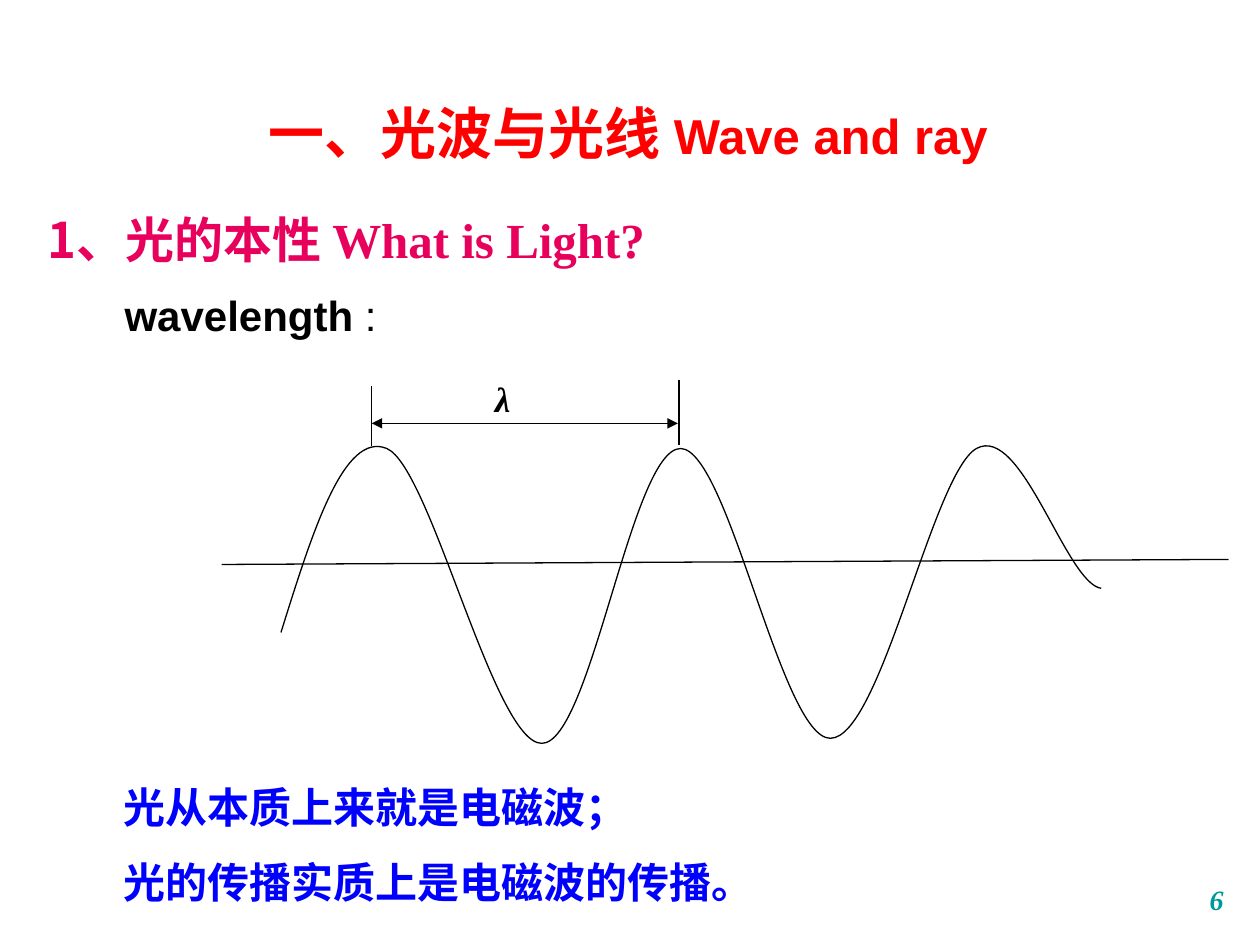
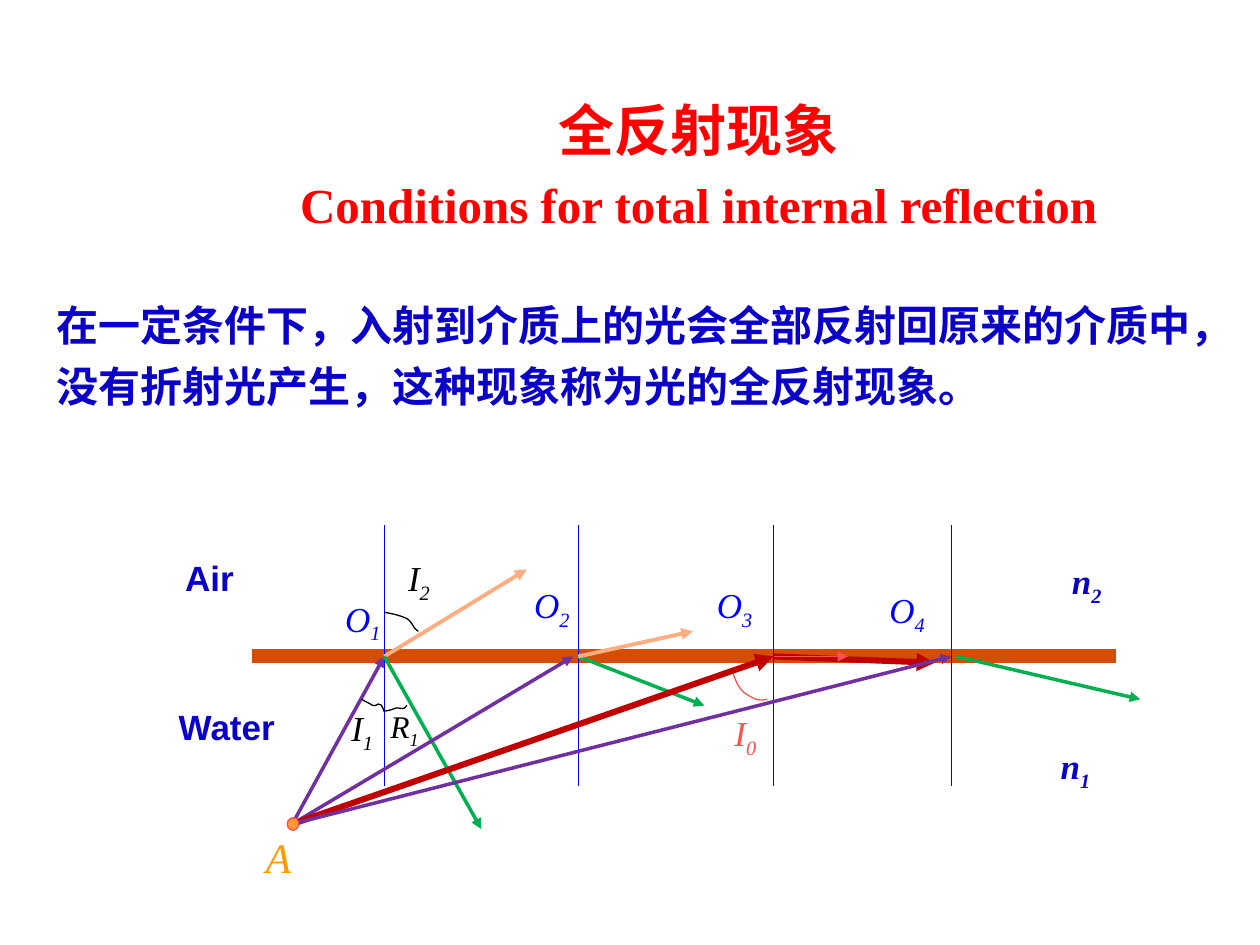
from lxml import etree
from pptx import Presentation
from pptx.dml.color import RGBColor
from pptx.enum.shapes import MSO_CONNECTOR, MSO_SHAPE
from pptx.enum.text import MSO_ANCHOR, MSO_AUTO_SIZE, PP_ALIGN
from pptx.oxml.ns import qn
from pptx.util import Inches, Pt

STRAIGHT = MSO_CONNECTOR.STRAIGHT
OVAL = MSO_SHAPE.OVAL
TOP, MIDDLE, BOTTOM = MSO_ANCHOR.TOP, MSO_ANCHOR.MIDDLE, MSO_ANCHOR.BOTTOM
LEFT, CENTER, RIGHT = PP_ALIGN.LEFT, PP_ALIGN.CENTER, PP_ALIGN.RIGHT
NO_FIT = MSO_AUTO_SIZE.NONE

COLORS = {
    "title": "FF0000", "heading": "E7005C", "number": "009999",
    "ink": "000000", "blue": "0000FF", "navy": "0A00C8",
    "surface": "D64C00", "incident": "7030A0", "refracted": "FFAE82",
    "reflected": "00B050", "critical": "C00000", "coral": "FF5050",
    "source": "FF9900", "source_fill": "FF9933",
}
HAN, SANS, SERIF = "Noto Sans CJK SC", "Arial", "Times New Roman"
TITLE_ONLY = 5


def color(name):
    """Return the palette colour with this name."""
    return RGBColor.from_string(COLORS[name])


def run(text, font, size, tone, bold=False, italic=False, subscript=False):
    """Describe one run of text."""
    return text, font, size, tone, bold, italic, subscript


def add_run(para, text, font, size, tone, bold, italic, subscript):
    """Add one formatted run to a paragraph."""
    span = para.add_run()
    span.text = text
    span.font.size = Pt(size)
    span.font.bold = bold
    span.font.italic = italic
    span.font.color.rgb = color(tone)
    span.font.name = font
    properties = span._r.get_or_add_rPr()
    etree.SubElement(properties, qn("a:ea")).set("typeface", font)
    if subscript:
        properties.set("baseline", "-25000")


def fill_text(box, paragraphs, align=LEFT, anchor=TOP, spacing=1.0, wrap=True):
    """Write paragraphs, each a list of runs, into a shape."""
    frame = box.text_frame
    frame.word_wrap = wrap
    frame.auto_size = NO_FIT
    frame.vertical_anchor = anchor
    for index, runs in enumerate(paragraphs):
        para = frame.add_paragraph() if index else frame.paragraphs[0]
        para.alignment = align
        para.line_spacing = spacing
        for item in runs:
            add_run(para, *item)


def add_text(page, area, paragraphs, **options):
    """Add a text box."""
    box = page.shapes.add_textbox(*map(Inches, area))
    fill_text(box, paragraphs, **options)


def set_title(page, area, paragraphs, **options):
    """Place the title placeholder and write its centred text."""
    title = page.shapes.title
    title.left, title.top, title.width, title.height = map(Inches, area)
    fill_text(title, paragraphs, align=CENTER, **options)


def add_line(page, start, end, tone="ink", width=0.75, arrow=False):
    """Add a straight line or arrow."""
    line = page.shapes.add_connector(STRAIGHT, *map(Inches, start + end))
    line.line.color.rgb = color(tone)
    line.line.width = Pt(width)
    if arrow:
        outline = line.line._get_or_add_ln()
        etree.SubElement(outline, qn("a:tailEnd")).set("type", "triangle")
    etree.SubElement(line._element.spPr, qn("a:effectLst"))


def add_curve(page, points, tone="ink", rotation=0):
    """Draw an open chain of cubic curves through every third point."""
    places = [(Inches(x), Inches(y)) for x, y in points]
    builder = page.shapes.build_freeform(*places[0])
    builder.add_line_segments(places[1:], close=False)
    curve = builder.convert_to_shape()
    segments = list(curve._element.iter(qn("a:lnTo")))
    outline = segments[0].getparent()
    for first in range(0, len(segments), 3):
        cubic = etree.SubElement(outline, qn("a:cubicBezTo"))
        for segment in segments[first:first + 3]:
            cubic.append(segment[0])
            outline.remove(segment)
    curve.shadow.inherit = False
    curve.fill.background()
    curve.line.color.rgb = color(tone)
    curve.line.width = Pt(0.75)
    curve.rotation = rotation


def add_symbol(page, left, top, width, letter, index, tone, size=20, bold=False):
    """Add an italic symbol with a subscript."""
    style = (SERIF, size, tone, bold, True)
    add_text(page, (left, top, width, 0.43),
             [[run(letter, *style), run(index, *style, subscript=True)]])


def build_wave_page(page):
    """Show light as a wave with its wavelength."""
    set_title(page, (0.2, 0.6, 9.57, 0.77),
              [[run("一、光波与光线 ", HAN, 32, "title", True),
                run("Wave and ray", SANS, 28, "title", True)]],
              anchor=MIDDLE, spacing=1.25)
    add_text(page, (0.28, 1.47, 9, 4.69),
             [[run("1、光的本性 ", HAN, 28, "heading", True),
               run("What is Light?", SERIF, 28, "heading", True)]],
             spacing=1.3)
    add_text(page, (7.67, 6.82, 2.14, 0.5),
             [[run("6", SERIF, 16, "number", True, True)]],
             align=RIGHT, anchor=BOTTOM)
    add_text(page, (0.89, 2.25, 5.51, 0.5),
             [[run("wavelength", SANS, 24, "ink", True),
               run(" :", SANS, 24, "ink")]])

    add_curve(page, [
        (2.23, 5.02), (2.48, 4.22), (2.73, 3.42), (3.07, 3.56),
        (3.42, 3.71), (3.92, 5.9), (4.3, 5.9),
        (4.69, 5.9), (5.01, 3.57), (5.4, 3.56),
        (5.78, 3.56), (6.2, 5.86), (6.59, 5.86),
        (6.99, 5.86), (7.4, 3.76), (7.75, 3.56),
        (8.11, 3.36), (8.46, 4.63), (8.74, 4.67)])
    add_line(page, (1.76, 4.48), (9.75, 4.44))
    add_line(page, (2.95, 3.06), (2.95, 3.54))
    add_line(page, (5.39, 3.02), (5.39, 3.53))
    add_line(page, (4.12, 3.36), (5.38, 3.36), arrow=True)
    add_line(page, (4.37, 3.36), (2.95, 3.36), arrow=True)
    add_text(page, (3.83, 2.95, 1.22, 0.44),
             [[run("λ", SERIF, 20, "ink", True, True)]])
    add_text(page, (0.88, 5.95, 5.28, 1.22),
             [[run(text, HAN, 24, "blue", True)] for text in
              ("光从本质上来就是电磁波；", "光的传播实质上是电磁波的传播。")],
             spacing=1.5, wrap=False)


def build_reflection_page(page):
    """Show rays from water reaching total internal reflection."""
    set_title(page, (2.24, 0.6, 6.61, 1.3),
              [[run("全反射现象", HAN, 32, "title", True)],
               [run("Conditions for total internal reflection",
                    SERIF, 28, "title", True)]],
              anchor=TOP, spacing=1.2, wrap=False)
    add_text(page, (0.35, 2.25, 9.33, 5.25),
             [[run("在一定条件下，入射到介质上的光会全部反射回原来的介质中，"
                   "没有折射光产生，这种现象称为光的全反射现象。",
                   HAN, 24, "navy", True)]], spacing=1.2)

    surface = 5.21
    source = (2.32, 6.54)
    normals = (3.05, 4.59, 6.14, 7.55)
    hits = [(x, surface) for x in normals]
    add_line(page, (2, surface), (8.86, surface), "surface", 8)
    for x in normals:
        add_line(page, (x, 4.17), (x, 6.24), "blue")

    rays = (
        (source, hits[0], "incident", 2),
        (hits[0], (4.18, 4.52), "refracted", 2.25),
        (hits[0], (3.82, 6.58), "reflected", 2),
        (source, (4.55, surface), "incident", 2),
        (hits[1], (5.59, 5.6), "reflected", 2),
        (hits[1], (5.5, 5.01), "refracted", 2.25),
        (source, hits[2], "critical", 3.5),
        (hits[2], (7.42, 5.26), "critical", 3.5),
        (source, hits[3], "incident", 2),
        ((7.59, surface), (9.05, 5.55), "reflected", 2),
        (hits[2], (6.73, surface), "coral", 0.75),
    )
    for start, end, tone, width in rays:
        add_line(page, start, end, tone, width, arrow=True)

    add_curve(page, [(2.87, 5.55), (2.9, 5.57), (2.93, 5.58), (2.96, 5.6),
                     (2.99, 5.62), (3.01, 5.53), (3.05, 5.65)])
    add_curve(page, [(3.23, 5.61), (3.2, 5.61), (3.17, 5.62), (3.14, 5.63),
                     (3.11, 5.64), (3.08, 5.6), (3.05, 5.65)], rotation=178)
    add_curve(page, [(3.05, 4.86), (3.12, 4.87), (3.19, 4.89), (3.23, 4.91),
                     (3.28, 4.94), (3.27, 4.98), (3.32, 5.01)])
    add_curve(page, [(5.82, 5.35), (5.84, 5.41), (5.87, 5.47), (5.91, 5.5),
                     (5.96, 5.53), (6, 5.57), (6.09, 5.55)], "coral")

    point = page.shapes.add_shape(
        OVAL, Inches(2.28), Inches(6.49), Inches(0.09), Inches(0.1))
    point.shadow.inherit = False
    point.fill.solid()
    point.fill.fore_color.rgb = color("source_fill")
    point.line.color.rgb = color("coral")
    point.line.width = Pt(0.75)

    add_text(page, (1.32, 5.55, 1.14, 0.44),
             [[run("Water", SANS, 20, "navy", True)]])
    add_text(page, (1.37, 4.37, 0.82, 0.44),
             [[run("Air", SANS, 20, "navy", True)]])
    add_text(page, (2.01, 6.55, 0.64, 0.5),
             [[run("A", SERIF, 24, "source", italic=True)]])
    hit_labels = ((2.64, 4.69), (4.14, 4.58), (5.59, 4.58), (6.96, 4.62))
    for number, (left, top) in enumerate(hit_labels, 1):
        add_symbol(page, left, top, 0.59, "O", str(number), "blue")
    add_symbol(page, 2.69, 5.56, 0.5, "I", "1", "ink")
    add_symbol(page, 3, 5.56, 0.5, "R", "1", "ink", size=18)
    add_symbol(page, 3.14, 4.37, 0.5, "I", "2", "ink")
    add_symbol(page, 5.73, 5.6, 0.82, "I", "0", "coral")
    add_symbol(page, 8.41, 4.39, 0.5, "n", "2", "navy", bold=True)
    add_symbol(page, 8.32, 5.86, 0.5, "n", "1", "navy", bold=True)


def main():
    """Build and save the deck."""
    deck = Presentation()
    deck.slide_width, deck.slide_height = Inches(10), Inches(7.5)
    for build in (build_wave_page, build_reflection_page):
        build(deck.slides.add_slide(deck.slide_layouts[TITLE_ONLY]))
    deck.save("out.pptx")


if __name__ == "__main__":
    main()
